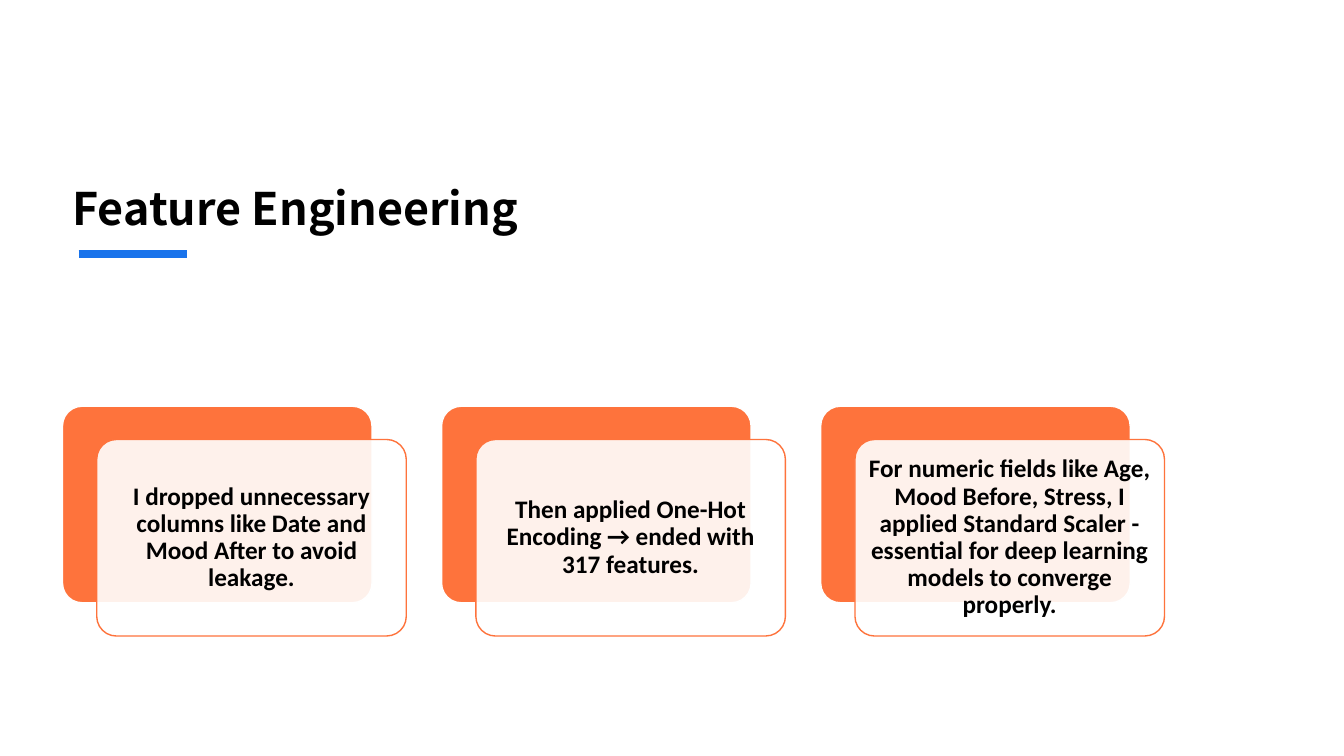
from lxml import etree
from pptx import Presentation
from pptx.dml.color import RGBColor
from pptx.enum.shapes import MSO_CONNECTOR, MSO_SHAPE
from pptx.enum.text import MSO_ANCHOR, MSO_AUTO_SIZE, PP_ALIGN
from pptx.oxml.ns import qn
from pptx.util import Inches, Pt

TITLE = "Feature Engineering"
STEPS = [
    "I dropped unnecessary columns like Date and Mood After to avoid leakage.",
    "Then applied One-Hot Encoding → ended with 317 features.",
    "For numeric fields like Age, Mood Before, Stress, I applied Standard Scaler - "
    "essential for deep learning models to converge properly.",
]
COLORS = {"text": "000000", "accent": "1973EB", "card": "FE733C", "white": "FFFFFF"}
CARD_LEFT, CARD_TOP, CARD_WIDTH, CARD_HEIGHT = 0.62, 4.03, 3.07, 1.95
CARD_PITCH = 3.76
FRONT_SHIFT_X, FRONT_SHIFT_Y = 0.34, 0.33


def color(name):
    return RGBColor.from_string(COLORS[name])


def add_text(para, text, font, size):
    span = para.add_run()
    span.text = text
    span.font.name = font
    span.font.size = Pt(size)
    span.font.bold = True
    span.font.color.rgb = color("text")


def add_card(page, left, top, fill, line):
    card = page.shapes.add_shape(
        MSO_SHAPE.ROUNDED_RECTANGLE,
        Inches(left), Inches(top), Inches(CARD_WIDTH), Inches(CARD_HEIGHT))
    card.adjustments[0] = 0.1
    card.shadow.inherit = False
    card.fill.solid()
    card.fill.fore_color.rgb = color(fill)
    card.line.color.rgb = color(line)
    card.line.width = Pt(1)
    return card


def add_step(page, left, text):
    add_card(page, left, CARD_TOP, "card", "white")
    front = add_card(page, left + FRONT_SHIFT_X, CARD_TOP + FRONT_SHIFT_Y, "white", "card")
    # Let the back card show through slightly
    fill_color = front.fill._xPr.find(qn("a:solidFill"))[0]
    etree.SubElement(fill_color, qn("a:alpha"), val="90000")
    frame = front.text_frame
    frame.word_wrap = True
    frame.vertical_anchor = MSO_ANCHOR.MIDDLE
    frame.margin_left = frame.margin_right = Inches(0.06)
    frame.margin_top = frame.margin_bottom = Inches(0.07)
    para = frame.paragraphs[0]
    para.alignment = PP_ALIGN.CENTER
    para.line_spacing = 0.9
    add_text(para, text, "Calibri", 18)


deck = Presentation()
deck.slide_width, deck.slide_height = Inches(13.33), Inches(7.5)
page = deck.slides.add_slide(deck.slide_layouts[5])

# Title
title = page.shapes.title
title.left, title.top = Inches(0.62), Inches(1.45)
title.width, title.height = Inches(5.46), Inches(1.42)
frame = title.text_frame
frame.word_wrap = True
frame.auto_size = MSO_AUTO_SIZE.NONE
frame.vertical_anchor = MSO_ANCHOR.BOTTOM
frame.margin_bottom = Inches(0.54)
para = frame.paragraphs[0]
para.alignment = PP_ALIGN.LEFT
para.line_spacing = 0.9
add_text(para, TITLE, "Noto Sans CJK TC", 32)

# Accent rule under the title
rule = page.shapes.add_connector(
    MSO_CONNECTOR.STRAIGHT, Inches(0.78), Inches(2.52), Inches(1.85), Inches(2.52))
rule.line.color.rgb = color("accent")
rule.line.width = Pt(6)
etree.SubElement(rule._element.spPr, qn("a:effectLst"))

# Step cards
for index, text in enumerate(STEPS):
    add_step(page, CARD_LEFT + index * CARD_PITCH, text)

deck.save("out.pptx")
